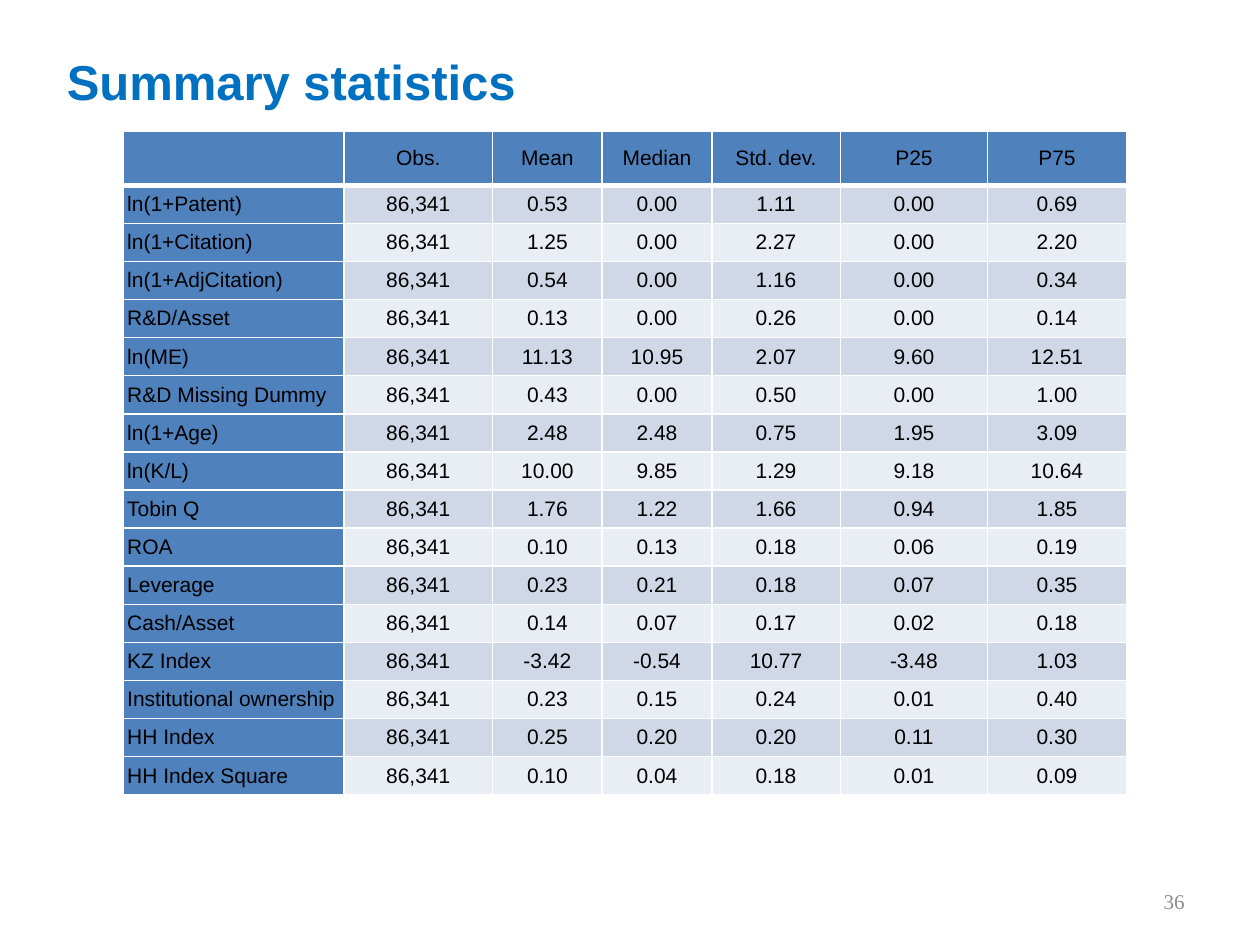
from lxml.etree import SubElement
from pptx import Presentation
from pptx.dml.color import RGBColor
from pptx.enum.text import MSO_ANCHOR, PP_ALIGN
from pptx.oxml.ns import qn
from pptx.util import Inches, Pt

HEADINGS = ["", "Obs.", "Mean", "Median", "Std. dev.", "P25", "P75"]
OBSERVATIONS = "86,341"
STATISTICS = [
    ("ln(1+Patent)", "0.53", "0.00", "1.11", "0.00", "0.69"),
    ("ln(1+Citation)", "1.25", "0.00", "2.27", "0.00", "2.20"),
    ("ln(1+AdjCitation)", "0.54", "0.00", "1.16", "0.00", "0.34"),
    ("R&D/Asset", "0.13", "0.00", "0.26", "0.00", "0.14"),
    ("ln(ME)", "11.13", "10.95", "2.07", "9.60", "12.51"),
    ("R&D Missing Dummy", "0.43", "0.00", "0.50", "0.00", "1.00"),
    ("ln(1+Age)", "2.48", "2.48", "0.75", "1.95", "3.09"),
    ("ln(K/L)", "10.00", "9.85", "1.29", "9.18", "10.64"),
    ("Tobin Q", "1.76", "1.22", "1.66", "0.94", "1.85"),
    ("ROA", "0.10", "0.13", "0.18", "0.06", "0.19"),
    ("Leverage", "0.23", "0.21", "0.18", "0.07", "0.35"),
    ("Cash/Asset", "0.14", "0.07", "0.17", "0.02", "0.18"),
    ("KZ Index", "-3.42", "-0.54", "10.77", "-3.48", "1.03"),
    ("Institutional ownership", "0.23", "0.15", "0.24", "0.01", "0.40"),
    ("HH Index", "0.25", "0.20", "0.20", "0.11", "0.30"),
    ("HH Index Square", "0.10", "0.04", "0.18", "0.01", "0.09"),
]
COLUMN_WIDTHS = [1.75, 1.18, 0.87, 0.87, 1.02, 1.17, 1.1]
HEADER_HEIGHT = 0.43
TABLE_HEIGHT = 5.27
HEADER_BLUE = "4F81BD"
BANDS = ["D0D8E8", "E9EDF4"]


def color(hex_value):
    return RGBColor.from_string(hex_value)


def set_attributes(target, values):
    for name, value in values.items():
        setattr(target, name, value)


def write(frame, text, hex_value, align, **font_values):
    frame.text = text
    paragraph = frame.paragraphs[0]
    paragraph.alignment = align
    for font in [paragraph.font] + [run.font for run in paragraph.runs]:
        set_attributes(font, font_values)
        font.color.rgb = color(hex_value)


def place(shape, left, top, width, height):
    set_attributes(shape, {"left": Inches(left), "top": Inches(top),
                           "width": Inches(width), "height": Inches(height)})


def add_borders(cell, widths):
    """Draw white borders; widths maps each side letter to points."""
    properties = cell._tc.get_or_add_tcPr()
    for side, width in widths.items():
        line = SubElement(properties, qn(f"a:ln{side}"), w=str(Pt(width)))
        fill = SubElement(line, qn("a:solidFill"))
        SubElement(fill, qn("a:srgbClr"), val="FFFFFF")


def format_cell(cell, text, row, column):
    is_header = row == 0
    add_borders(cell, {"L": 1, "R": 1, "T": 3 if row == 1 else 1,
                       "B": 3 if is_header else 1})
    side, edge = (0.07, 0) if is_header else (0.03, 0.02)
    set_attributes(cell, {
        "margin_left": Inches(side), "margin_right": Inches(side),
        "margin_top": Inches(edge), "margin_bottom": Inches(edge),
        "vertical_anchor": MSO_ANCHOR.MIDDLE,
    })
    cell.fill.solid()
    is_blue = is_header or column == 0
    cell.fill.fore_color.rgb = color(HEADER_BLUE if is_blue else BANDS[(row - 1) % 2])
    align = PP_ALIGN.LEFT if column == 0 else PP_ALIGN.CENTER
    write(cell.text_frame, text, "000000", align, name="Arial", size=Pt(12), bold=False)


def add_title(slide, text):
    title = slide.shapes.title
    place(title, 0.43, 0.21, 9.26, 0.87)
    title.text_frame.vertical_anchor = MSO_ANCHOR.MIDDLE
    write(title.text_frame, text, "0070C0", PP_ALIGN.LEFT,
          name="Arial", size=Pt(28), bold=True)


def add_statistics_table(slide):
    rows = [HEADINGS] + [(label, OBSERVATIONS, *values) for label, *values in STATISTICS]
    table = slide.shapes.add_table(
        len(rows), len(HEADINGS), Inches(0.98), Inches(1.04),
        Inches(sum(COLUMN_WIDTHS)), Inches(TABLE_HEIGHT)).table
    for column, width in zip(table.columns, COLUMN_WIDTHS):
        column.width = Inches(width)
    body_height = (TABLE_HEIGHT - HEADER_HEIGHT) / len(STATISTICS)
    for r, values in enumerate(rows):
        table.rows[r].height = Inches(body_height if r else HEADER_HEIGHT)
        for c, text in enumerate(values):
            format_cell(table.cell(r, c), text, r, c)


def add_page_number(slide, number):
    box = slide.shapes.add_textbox(Inches(7.17), Inches(6.95), Inches(2.33), Inches(0.4))
    set_attributes(box.text_frame, {"word_wrap": True,
                                    "vertical_anchor": MSO_ANCHOR.MIDDLE})
    write(box.text_frame, number, "8C8C8C", PP_ALIGN.RIGHT,
          name="Times New Roman", size=Pt(12))


def main():
    presentation = Presentation()
    set_attributes(presentation, {"slide_width": Inches(10), "slide_height": Inches(7.5)})
    slide = presentation.slides.add_slide(presentation.slide_layouts[5])
    add_title(slide, "Summary statistics")
    add_page_number(slide, "36")
    add_statistics_table(slide)
    presentation.save("out.pptx")


if __name__ == "__main__":
    main()
